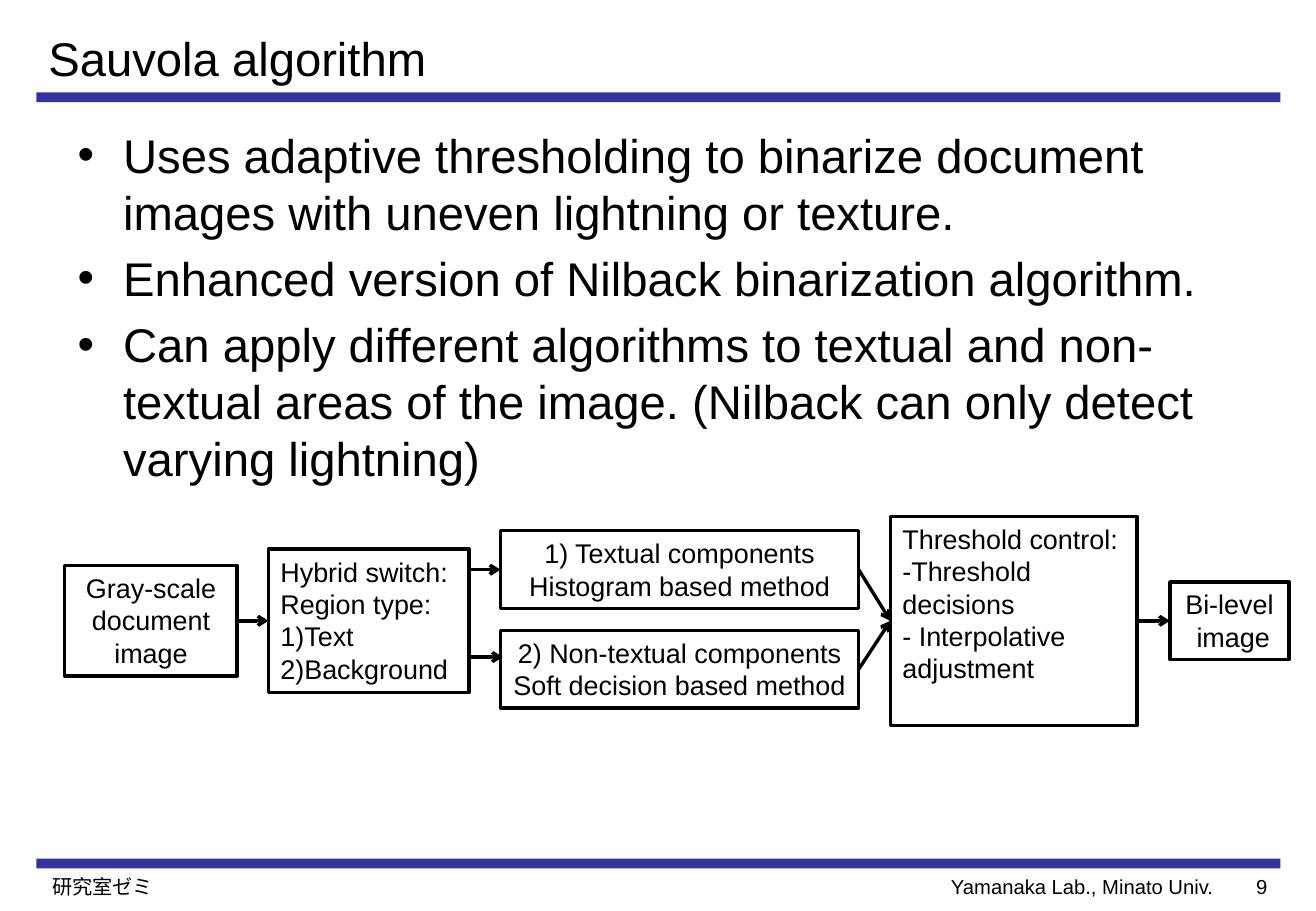
from lxml.etree import SubElement
from pptx import Presentation
from pptx.dml.color import RGBColor
from pptx.enum.shapes import MSO_CONNECTOR, MSO_SHAPE
from pptx.enum.text import MSO_ANCHOR, PP_ALIGN
from pptx.oxml.ns import qn
from pptx.util import Pt

BLACK = RGBColor(0x00, 0x00, 0x00)
WHITE = RGBColor(0xFF, 0xFF, 0xFF)
NAVY = RGBColor(0x33, 0x33, 0x99)
FONT = "Arial"
FLOW_Y = 368
TOP, LEFT, BOTTOM, RIGHT = range(4)

BULLETS = [
    "Uses adaptive thresholding to binarize document images with uneven lightning or texture.",
    "Enhanced version of Nilback binarization algorithm.",
    "Can apply different algorithms to textual and non-textual areas of the image. "
    "(Nilback can only detect varying lightning)",
]


def write_lines(shape, lines, size, align=PP_ALIGN.LEFT):
    frame = shape.text_frame
    frame.word_wrap = True
    frame.text = "\n".join(lines)
    for para in frame.paragraphs:
        para.alignment = align
        para.font.name = FONT
        para.font.size = Pt(size)
        para.font.color.rgb = BLACK


def add_text(page, left, top, width, height, lines, size, align=PP_ALIGN.LEFT):
    box = page.shapes.add_textbox(Pt(left), Pt(top), Pt(width), Pt(height))
    write_lines(box, lines, size, align)
    return box


def add_bullets(page, left, top, width, height, lines, size):
    box = add_text(page, left, top, width, height, lines, size)
    for para in box.text_frame.paragraphs:
        para.space_before = Pt(size * 0.2)
        properties = para._p.get_or_add_pPr()
        properties.set("marL", str(Pt(27)))
        properties.set("indent", str(-Pt(27)))
        SubElement(properties, qn("a:buFont"), typeface=FONT)
        SubElement(properties, qn("a:buChar"), char="•")


def add_rectangle(page, left, top, width, height, fill):
    box = page.shapes.add_shape(
        MSO_SHAPE.RECTANGLE, Pt(left), Pt(top), Pt(width), Pt(height))
    box.shadow.inherit = False
    box.fill.solid()
    box.fill.fore_color.rgb = fill
    box.line.fill.background()
    return box


def add_step(page, left, middle, width, height, lines, align=PP_ALIGN.CENTER):
    box = add_rectangle(page, left, middle - height / 2, width, height, WHITE)
    box.line.color.rgb = BLACK
    box.line.width = Pt(2)
    box.text_frame.vertical_anchor = MSO_ANCHOR.TOP
    write_lines(box, lines, 16, align)
    return box


def add_arrow(page, start=(0, 0), end=(0, 0), source=None, target=None):
    """Draw an arrow between points; a source or target box overrides its point."""
    arrow = page.shapes.add_connector(
        MSO_CONNECTOR.STRAIGHT, *(Pt(value) for value in (*start, *end)))
    if source is not None:
        arrow.begin_connect(source, RIGHT)
    if target is not None:
        arrow.end_connect(target, LEFT)
    arrow.line.color.rgb = BLACK
    arrow.line.width = Pt(2)
    SubElement(arrow.line._get_or_add_ln(), qn("a:tailEnd"), type="arrow")
    SubElement(arrow._element.spPr, qn("a:effectLst"))


def add_flow(page):
    # Steps
    gray = add_step(page, 38.4, FLOW_Y, 102.2, 65.5, ["Gray-scale", "document image"])
    switch = add_step(
        page, 159.1, FLOW_Y, 118.8, 85,
        ["Hybrid switch:", "Region type:", "1)Text", "2)Background"], PP_ALIGN.LEFT)
    textual = add_step(page, 296.6, 337.7, 212.4, 46.1,
                       ["1) Textual components", "Histogram based method"])
    non_textual = add_step(page, 296.6, 396.7, 212.4, 46.1,
                           ["2) Non-textual components", "Soft decision based method"])
    control = add_step(
        page, 527.8, FLOW_Y, 146.2, 123.8,
        ["Threshold control:", "-Threshold decisions", "- Interpolative adjustment"],
        PP_ALIGN.LEFT)
    result = add_step(page, 693.4, FLOW_Y, 70.6, 46.1, ["Bi-level", " image"])

    # Arrows
    add_arrow(page, source=gray, target=switch)
    add_arrow(page, start=(277.9, 337.7), target=textual)
    add_arrow(page, start=(277.9, 389.5), end=(298, 389.5))
    for method in (textual, non_textual):
        add_arrow(page, source=method, target=control)
    add_arrow(page, source=control, target=result)


def main():
    deck = Presentation()
    deck.slide_width, deck.slide_height = Pt(780), Pt(540)
    page = deck.slides.add_slide(deck.slide_layouts[6])

    # Rules above and below the content
    for top in (54.7, 509):
        add_rectangle(page, 21.6, top, 737.3, 5.8, NAVY)

    # Title and bullets
    title = add_text(page, 21.6, 13.7, 730, 41, ["Sauvola algorithm"], 28)
    title.text_frame.vertical_anchor = MSO_ANCHOR.MIDDLE
    add_bullets(page, 38.9, 71.3, 702, 425.5, BULLETS, 28)

    add_flow(page)

    # Footer
    add_text(page, 23.8, 514.8, 532.8, 21.6, ["研究室ゼミ"], 12)
    add_text(page, 556.6, 514.8, 175, 21.6, ["Yamanaka Lab., Minato Univ."], 12)
    add_text(page, 722.9, 514.8, 35.3, 21.6, ["9"], 12, PP_ALIGN.RIGHT)

    deck.save("out.pptx")


if __name__ == "__main__":
    main()
